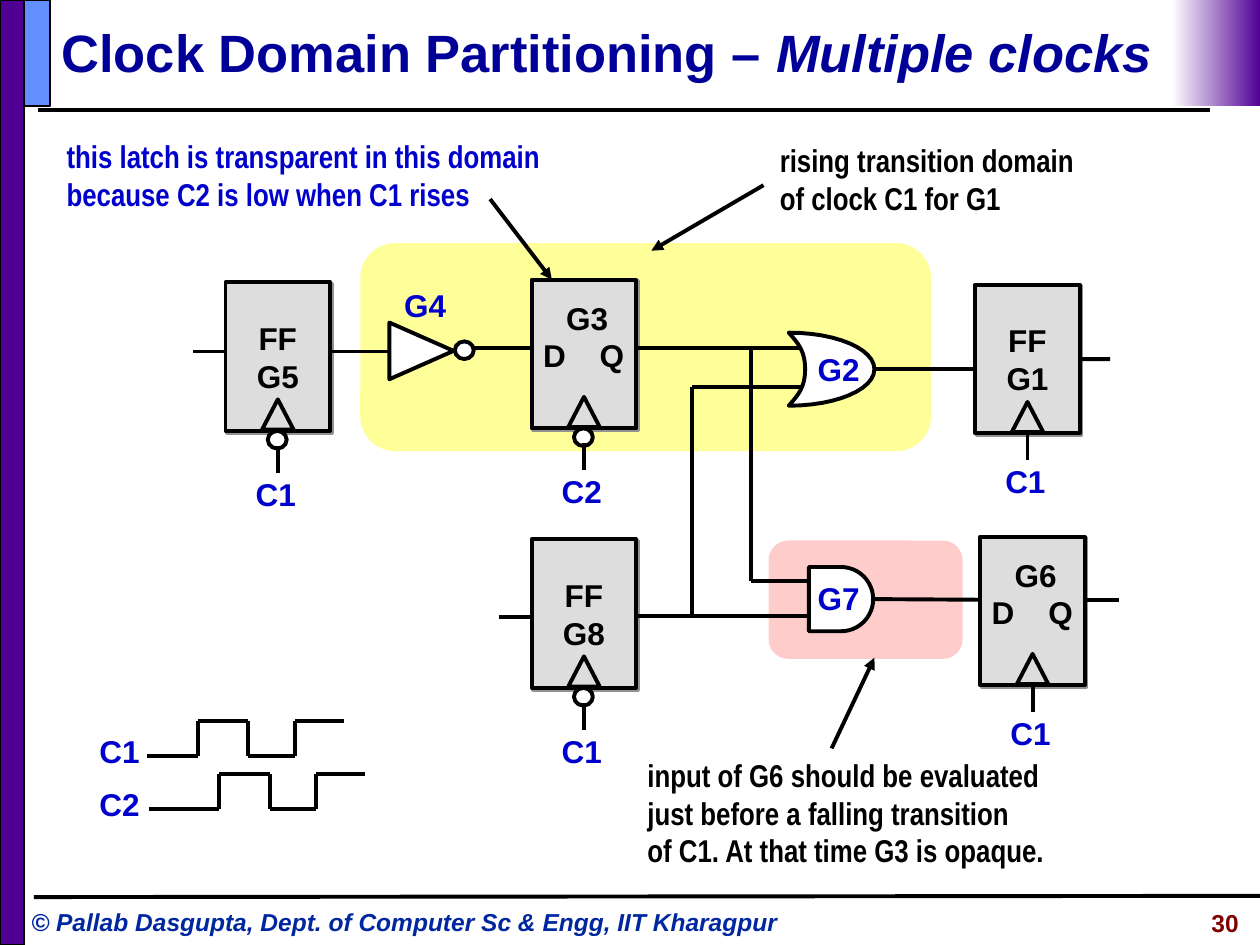
from dataclasses import dataclass

from lxml import etree
from pptx import Presentation
from pptx.dml.color import RGBColor
from pptx.enum.shapes import MSO_CONNECTOR, MSO_SHAPE
from pptx.enum.text import MSO_ANCHOR, MSO_AUTO_SIZE, PP_ALIGN
from pptx.oxml.ns import qn
from pptx.util import Inches, Pt

RECTANGLE, ROUNDED = MSO_SHAPE.RECTANGLE, MSO_SHAPE.ROUNDED_RECTANGLE
TRIANGLE, OVAL = MSO_SHAPE.ISOSCELES_TRIANGLE, MSO_SHAPE.OVAL
DELAY, STRAIGHT = MSO_SHAPE.FLOWCHART_DELAY, MSO_CONNECTOR.STRAIGHT
LEFT, CENTER, RIGHT = PP_ALIGN.LEFT, PP_ALIGN.CENTER, PP_ALIGN.RIGHT
TOP, MIDDLE = MSO_ANCHOR.TOP, MSO_ANCHOR.MIDDLE
FIT_TEXT = MSO_AUTO_SIZE.SHAPE_TO_FIT_TEXT
SIDE_BOTTOM, SIDE_RIGHT = 2, 3


@dataclass(frozen=True)
class Theme:
    black: str = "000000"
    white: str = "FFFFFF"
    purple: str = "500093"
    sky: str = "618FFD"
    title: str = "000099"
    footer: str = "00279F"
    number: str = "800000"
    label: str = "0000CC"
    block: str = "DDDDDD"
    shadow: str = "919191"
    yellow: str = "FFFF99"
    pink: str = "FFCCCC"
    font: str = "Arial"
    narrow: str = "Arial Narrow"
    title_size: int = 30
    body_size: int = 18
    small_size: int = 14
    line: float = 2.25
    thin: float = 1


THEME = Theme()


def color(value):
    return RGBColor.from_string(value)


def style(shape, fill, line_width=THEME.line):
    shape.shadow.inherit = False
    shape.fill.solid()
    shape.fill.fore_color.rgb = color(fill)
    if line_width:
        shape.line.color.rgb = color(THEME.black)
        shape.line.width = Pt(line_width)
    else:
        shape.line.fill.background()
    return shape


def add_shape(slide, kind, box, fill, line_width=THEME.line):
    shape = slide.shapes.add_shape(kind, *map(Inches, box))
    return style(shape, fill, line_width)


def add_run(paragraph, text, ink, size=THEME.body_size, font=THEME.font, italic=False):
    run = paragraph.add_run()
    run.text = text
    run.font.name, run.font.size = font, Pt(size)
    run.font.bold, run.font.italic = True, italic
    run.font.color.rgb = color(ink)


def add_text(slide, box, lines, ink, size=THEME.body_size, font=THEME.font,
             italic=False, align=LEFT, wrap=True):
    shape = slide.shapes.add_textbox(*map(Inches, box))
    frame = shape.text_frame
    frame.word_wrap = wrap
    if not wrap:
        frame.auto_size = FIT_TEXT
    for index, text in enumerate(lines):
        paragraph = frame.add_paragraph() if index else frame.paragraphs[0]
        paragraph.alignment = align
        add_run(paragraph, text, ink, size, font, italic)
    return frame


def add_label(slide, left, top, text):
    add_text(slide, (left, top, 0.58, 0.4), [text], THEME.label, wrap=False)


def add_line(slide, start, end, arrow=False):
    line = slide.shapes.add_connector(STRAIGHT, *map(Inches, (*start, *end)))
    line.line.color.rgb = color(THEME.black)
    line.line.width = Pt(THEME.line)
    if arrow:
        etree.SubElement(line.line._get_or_add_ln(), qn("a:tailEnd"), type="triangle")
    etree.SubElement(line._element.spPr, qn("a:effectLst"))
    return line


def add_polyline(slide, points):
    for start, end in zip(points, points[1:]):
        add_line(slide, start, end)


def add_frame(slide, width, height):
    """Header rule, side bars, corner fade and footer."""
    add_line(slide, (0.3, 0.87), (9.6, 0.87))
    add_text(slide, (0.15, 7.15, 6.37, 0.34),
             ["© Pallab Dasgupta, Dept. of Computer Sc & Engg, IIT Kharagpur"],
             THEME.footer, THEME.small_size, italic=True)
    add_shape(slide, RECTANGLE, (0, 0, 0.19, height), THEME.purple, THEME.thin)
    add_line(slide, (0.27, 7.12), (width, 7.11))
    add_shape(slide, RECTANGLE, (0.19, 0, 0.21, 0.84), THEME.sky, THEME.thin)
    fade = add_shape(slide, RECTANGLE, (width - 0.7, 0, 0.7, 0.84), THEME.purple, 0)
    fade.fill.gradient()
    fade.fill.gradient_angle = 180
    for stop, ink in zip(fade.fill.gradient_stops, (THEME.purple, THEME.white)):
        stop.color.rgb = color(ink)
    add_text(slide, (8.18, 7.16, 1.75, 0.35), ["30"], THEME.number,
             THEME.small_size, align=RIGHT)


def add_title(slide, box):
    frame = add_text(slide, box, ["Clock Domain Partitioning – "], THEME.title,
                     THEME.title_size)
    frame.vertical_anchor = MIDDLE
    add_run(frame.paragraphs[0], "Multiple clocks", THEME.title,
            THEME.title_size, italic=True)


def add_block_shadow(shape):
    effects = shape._element.spPr.find(qn("a:effectLst"))
    shadow = etree.SubElement(effects, qn("a:outerShdw"), dist=str(Pt(1.4)),
                              dir="2700000", algn="ctr", rotWithShape="0")
    etree.SubElement(shadow, qn("a:srgbClr"), val=THEME.shadow)


def add_storage(slide, left, top, name, clock, latch=False, bubble=False):
    """Flip-flop or latch with its clock pin; returns the body."""
    width, height = 0.83, 1.18
    middle, bottom = left + width / 2, top + height
    body = add_shape(slide, RECTANGLE, (left, top, width, height), THEME.block)
    add_block_shadow(body)
    frame = body.text_frame
    frame.word_wrap = True
    frame.margin_left = Inches(0.09)
    frame.margin_right = Inches(0.04 if latch else 0.09)
    frame.margin_top = Inches(0.15 if latch else 0.05)
    frame.vertical_anchor = TOP if latch else MIDDLE
    for index, text in enumerate((name, "D\tQ") if latch else ("FF", name)):
        paragraph = frame.add_paragraph() if index else frame.paragraphs[0]
        paragraph.alignment = CENTER
        if "\t" in text:
            paragraph.alignment = LEFT
            tabs = etree.SubElement(paragraph._p.get_or_add_pPr(), qn("a:tabLst"))
            etree.SubElement(tabs, qn("a:tab"), pos=str(Inches(0.45)), algn="l")
        add_run(paragraph, text, THEME.black)
    add_shape(slide, TRIANGLE, (middle - 0.125, top + 0.93, 0.25, 0.24), THEME.block)
    drop = 0.12 if bubble else 0
    if bubble:
        add_shape(slide, OVAL, (middle - 0.08, bottom, 0.15, 0.14), THEME.white)
    stem = add_line(slide, (middle, bottom + drop), (middle, bottom + drop + 0.21))
    if not bubble:
        stem.begin_connect(body, SIDE_BOTTOM)
    add_label(slide, left + 0.14, bottom + drop + 0.18, clock)
    return body


def bezier(start, first, second, end, steps=12):
    for step in range(1, steps + 1):
        t = step / steps
        weights = ((1 - t) ** 3, 3 * t * (1 - t) ** 2, 3 * t * t * (1 - t), t ** 3)
        yield tuple(sum(w * p[axis] for w, p in zip(weights, (start, first, second, end)))
                    for axis in (0, 1))


def add_or_gate(slide, left, top, name):
    width, height, notch = 0.68, 0.58, 0.13
    half = height / 2
    curves = [((0, 0), (0.07, 0.08), (notch, 0.14), (notch, half)),
              ((notch, half), (notch, 0.44), (0.07, 0.5), (0, height)),
              ((0, height), (0.38, height), (width, 0.45), (width, half)),
              ((width, half), (width, 0.13), (0.38, 0), (0, 0))]
    points = [(Inches(left + x), Inches(top + y)) for curve in curves for x, y in bezier(*curve)]
    builder = slide.shapes.build_freeform(Inches(left), Inches(top))
    builder.add_line_segments(points, close=True)
    style(builder.convert_to_shape(), THEME.white)
    add_label(slide, left + 0.13, top + 0.09, name)


def add_circuit(slide):
    # Clock domains
    for box, fill in (((6.1, 4.29, 1.54, 0.94), THEME.pink),
                      ((2.86, 1.93, 4.53, 1.65), THEME.yellow)):
        add_shape(slide, ROUNDED, box, fill, 0).adjustments[0] = 0.167
    # Gates
    and_gate = add_shape(slide, DELAY, (6.42, 4.5, 0.51, 0.51), THEME.white)
    add_label(slide, 6.39, 4.55, "G7")
    add_or_gate(slide, 6.26, 2.64, "G2")
    add_shape(slide, TRIANGLE, (3.12, 2.53, 0.45, 0.51), THEME.white).rotation = 90
    add_shape(slide, OVAL, (3.61, 2.71, 0.15, 0.14), THEME.white)
    add_label(slide, 3.11, 2.22, "G4")
    # Flip-flops and latches
    add_storage(slide, 1.79, 2.24, "G5", "C1", bubble=True)
    add_storage(slide, 4.22, 2.22, "G3", "C2", latch=True, bubble=True)
    add_storage(slide, 4.22, 4.28, "G8", "C1", bubble=True)
    output = add_storage(slide, 7.74, 2.26, "G1", "C1")
    add_storage(slide, 7.78, 4.26, "G6", "C1", latch=True)
    # Wires
    for points in (((1.53, 2.79), (1.79, 2.79)), ((2.63, 2.79), (3.08, 2.79)),
                   ((3.76, 2.76), (4.22, 2.76)), ((5.05, 2.76), (6.35, 2.76)),
                   ((5.05, 4.89), (6.42, 4.89)), ((3.96, 4.9), (4.22, 4.9)),
                   ((6.42, 4.61), (5.96, 4.61), (5.96, 2.76)),
                   ((6.36, 3.07), (5.49, 3.07), (5.49, 4.89)),
                   ((8.61, 4.76), (8.88, 4.76)), ((6.94, 2.93), (7.74, 2.93))):
        add_polyline(slide, points)
    add_line(slide, (8.57, 2.85), (8.81, 2.85)).begin_connect(output, SIDE_RIGHT)
    add_line(slide, (6.93, 4.76), (7.78, 4.76)).begin_connect(and_gate, SIDE_RIGHT)


def add_waveform(slide, left, top, lead, name):
    low = top + 0.28
    rise, fall, again = (left + lead + step for step in (0, 0.4, 0.77))
    add_polyline(slide, [(left, low), (rise, low), (rise, top), (fall, top), (fall, low),
                         (again, low), (again, top), (again + 0.39, top)])
    add_label(slide, 0.69, top + 0.04, name)


def add_note(slide, box, lines, ink, start, end):
    add_text(slide, box, lines, ink, font=THEME.narrow)
    add_line(slide, start, end, arrow=True)


def main():
    presentation = Presentation()
    width, height = 10, 7.5
    presentation.slide_width, presentation.slide_height = Inches(width), Inches(height)
    slide = presentation.slides.add_slide(presentation.slide_layouts[6])
    add_frame(slide, width, height)
    add_title(slide, (0.39, 0.1, 9.1, 0.61))
    add_circuit(slide)
    add_waveform(slide, 1.17, 5.72, 0.4, "C1")
    add_waveform(slide, 1.18, 6.14, 0.56, "C2")
    # Notes with arrows
    add_note(slide, (6.09, 1.07, 2.59, 0.7),
             ["rising transition domain", "of clock C1 for G1"],
             THEME.black, (6.06, 1.47), (5.17, 1.99))
    add_note(slide, (0.43, 1.04, 4.01, 0.7),
             ["this latch is transparent in this domain", "because C2 is low when C1 rises"],
             THEME.label, (3.89, 1.58), (4.38, 2.22))
    add_note(slide, (5.04, 5.95, 3.41, 1),
             ["input of G6 should be evaluated", "just before a falling transition",
              "of C1. At that time G3 is opaque."],
             THEME.black, (6.6, 5.94), (6.94, 5.22))
    presentation.save("out.pptx")


if __name__ == "__main__":
    main()
